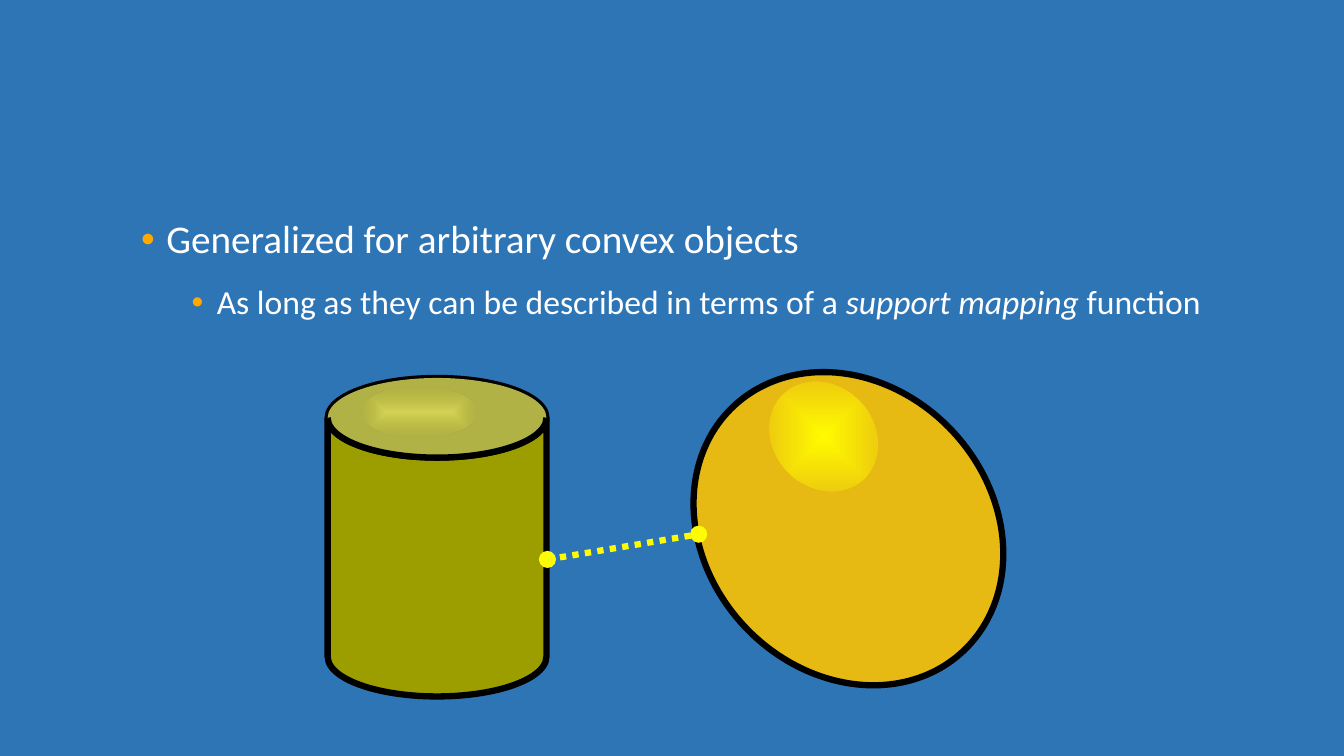
import pptx
import pptx.util
from lxml import etree
from pptx.dml.color import RGBColor
from pptx.enum.dml import MSO_LINE
from pptx.enum.shapes import MSO_CONNECTOR, MSO_SHAPE
from pptx.enum.text import MSO_ANCHOR, MSO_AUTO_SIZE
from pptx.oxml.ns import qn
from pptx.util import Inches, Pt

BLUE = RGBColor(0x2E, 0x75, 0xB6)
WHITE = RGBColor(0xFF, 0xFF, 0xFF)
BLACK = RGBColor(0x00, 0x00, 0x00)
ORANGE = RGBColor(0xFF, 0xA9, 0x00)
YELLOW = RGBColor(0xFF, 0xFB, 0x00)
GOLD = RGBColor(0xE7, 0xB9, 0x13)
OLIVE = RGBColor(0x9C, 0x9E, 0x00)
LID_GREEN = RGBColor(0xB1, 0xB2, 0x46)
GLOW_CENTER = RGBColor(0xEA, 0xE7, 0x61)
GLOW_EDGE = RGBColor(0xC0, 0xC3, 0x36)

BULLETS = [
    (0, 28, [("Generalized for arbitrary convex objects", False)]),
    (1, 24, [("As long as they can be described in terms of a ", False),
             ("support mapping", True), (" function", False)]),
]
BODY_BOX = (1.3, 2.13, 10.73, 4.39)

OUTLINE = 4.5
TILT = 317
EGG = (7, 3.58, 2.83, 3.33)
EGG_GLOW = (7.67, 3.75, 1, 1.16)
CYLINDER = (3.25, 3.75, 2.17, 3.16)
LID_HEIGHT = 0.79
LID_GLOW = (3.58, 3.84, 1.16, 0.5)
CLOSEST_POINTS = [(5.43, 5.55), (6.93, 5.3)]
DOT = 0.17


def add_bullet(paragraph, level):
    properties = paragraph._p.get_or_add_pPr()
    properties.set("marL", str(Inches(0.25 + 0.5 * level)))
    properties.set("indent", str(Inches(-0.25)))
    color = etree.SubElement(properties, qn("a:buClr"))
    etree.SubElement(color, qn("a:srgbClr"), val=str(ORANGE))
    etree.SubElement(properties, qn("a:buFont"), typeface="Arial")
    etree.SubElement(properties, qn("a:buChar"), char="•")


def fill_body(body):
    body.left, body.top, body.width, body.height = map(Inches, BODY_BOX)
    frame = body.text_frame
    frame.word_wrap = True
    frame.auto_size = MSO_AUTO_SIZE.NONE
    frame.vertical_anchor = MSO_ANCHOR.TOP
    for index, (level, size, runs) in enumerate(BULLETS):
        paragraph = frame.add_paragraph() if index else frame.paragraphs[0]
        paragraph.level = level
        add_bullet(paragraph, level)
        paragraph.line_spacing = 0.9
        paragraph.space_before = Pt(16.9 if index else 0)
        paragraph.font.name = "Calibri"
        paragraph.font.size = Pt(size)
        paragraph.font.color.rgb = WHITE
        for text, italic in runs:
            run = paragraph.add_run()
            run.text = text
            if italic:
                run.font.italic = True


def add_figure(shapes, kind, box, fill=None, line=None, rotation=0):
    shape = shapes.add_shape(kind, *map(Inches, box))
    shape.shadow.inherit = False
    shape.rotation = rotation
    if fill is None:
        shape.fill.background()
    else:
        shape.fill.solid()
        shape.fill.fore_color.rgb = fill
    if line is None:
        shape.line.fill.background()
    else:
        shape.line.color.rgb = line
        shape.line.width = Pt(OUTLINE)
    return shape


def add_glow(shape, center, edge):
    solid = shape._element.spPr.find(qn("a:solidFill"))
    gradient = etree.Element(qn("a:gradFill"), rotWithShape="1")
    stops = etree.SubElement(gradient, qn("a:gsLst"))
    for position, (color, opacity) in ((0, center), (100, edge)):
        stop = etree.SubElement(stops, qn("a:gs"), pos=str(position * 1000))
        value = etree.SubElement(stop, qn("a:srgbClr"), val=str(color))
        if opacity < 100:
            etree.SubElement(value, qn("a:alpha"), val=str(opacity * 1000))
    route = etree.SubElement(gradient, qn("a:path"), path="rect")
    etree.SubElement(route, qn("a:fillToRect"), l="50000", t="50000", r="50000", b="50000")
    solid.getparent().replace(solid, gradient)


def add_cylinder(shapes):
    left, top, width, height = CYLINDER
    lid_box = (left, top, width, LID_HEIGHT)
    group = shapes.add_group_shape()
    can = add_figure(group.shapes, MSO_SHAPE.CAN, CYLINDER, OLIVE, BLACK)
    can.adjustments[0] = LID_HEIGHT / width
    add_figure(group.shapes, MSO_SHAPE.OVAL, lid_box, LID_GREEN)
    rim = add_figure(group.shapes, MSO_SHAPE.ARC, lid_box, line=BLACK)
    rim.adjustments[0] = 0
    rim.adjustments[1] = 108
    glow = add_figure(shapes, MSO_SHAPE.OVAL, LID_GLOW, GLOW_EDGE)
    add_glow(glow, (GLOW_CENTER, 64), (GLOW_EDGE, 0))


def add_egg(shapes):
    add_figure(shapes, MSO_SHAPE.OVAL, EGG, GOLD, BLACK, TILT)
    glow = add_figure(shapes, MSO_SHAPE.OVAL, EGG_GLOW, GOLD, rotation=TILT)
    add_glow(glow, (YELLOW, 100), (GOLD, 100))


def add_distance(shapes):
    ends = [Inches(value) for point in CLOSEST_POINTS for value in point]
    distance = shapes.add_connector(MSO_CONNECTOR.STRAIGHT, *ends)
    distance.line.color.rgb = YELLOW
    distance.line.width = Pt(OUTLINE)
    distance.line.dash_style = MSO_LINE.ROUND_DOT
    etree.SubElement(distance._element.spPr, qn("a:effectLst"))
    for x, y in CLOSEST_POINTS:
        add_figure(shapes, MSO_SHAPE.OVAL, (x - DOT / 2, y - DOT / 2, DOT, DOT), YELLOW)


def main():
    """Build the slide on distances between convex objects."""
    presentation = pptx.Presentation()
    presentation.slide_width = Inches(13.33)
    presentation.slide_height = Inches(7.5)
    slide = presentation.slides.add_slide(presentation.slide_layouts[1])
    slide.background.fill.solid()
    slide.background.fill.fore_color.rgb = BLUE
    title = slide.shapes.title._element
    title.getparent().remove(title)
    fill_body(slide.placeholders[1])
    add_egg(slide.shapes)
    add_cylinder(slide.shapes)
    add_distance(slide.shapes)
    presentation.save("out.pptx")


if __name__ == "__main__":
    main()
